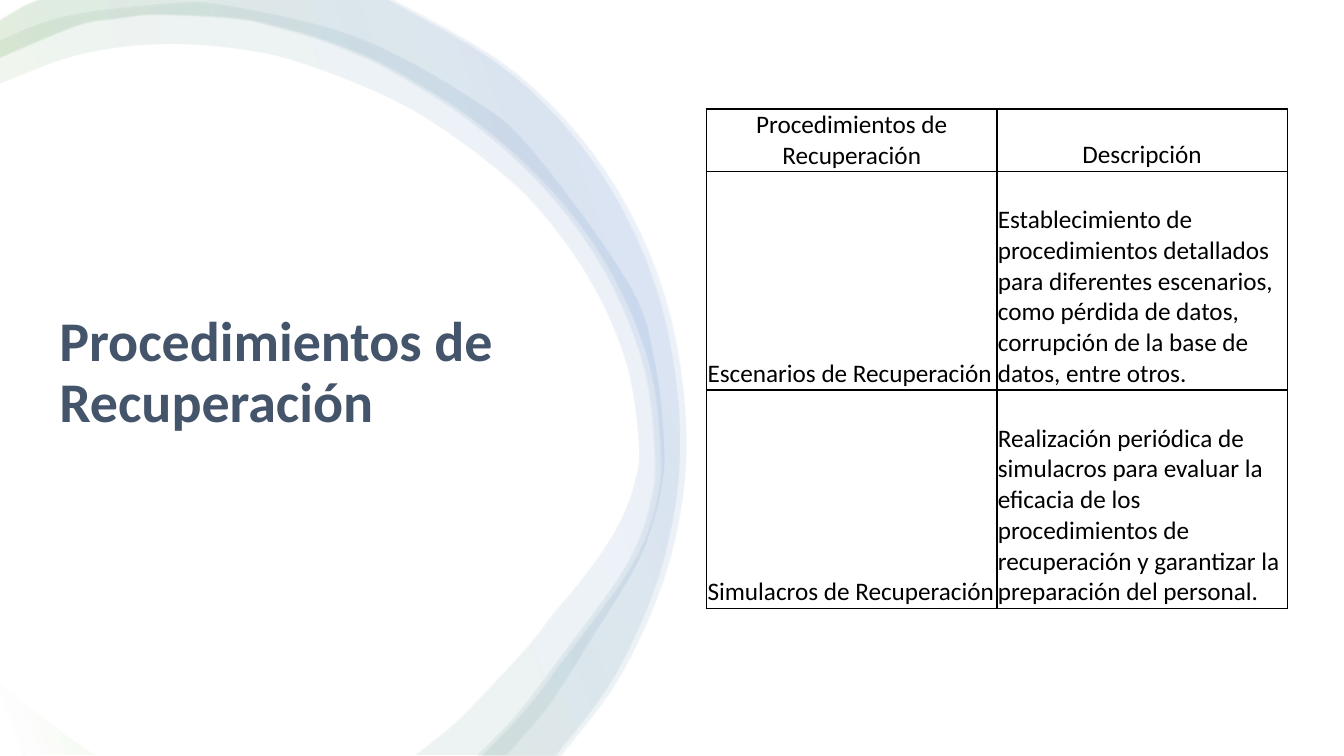
from lxml import etree
from pptx import Presentation
from pptx.dml.color import RGBColor
from pptx.enum import shapes, text
from pptx.oxml import ns
from pptx.util import Pt

FONT = "Calibri"
WIDTH, HEIGHT = 960, 540


def color(hex_string):
    return RGBColor.from_string(hex_string)


def smooth(knots, steps=6):
    padded = [knots[0], *knots, knots[-1]]
    points = [knots[0]]
    for a, b, c, d in zip(padded, padded[1:], padded[2:], padded[3:]):
        for step in range(1, steps + 1):
            t = step / steps
            points.append(tuple(
                (2 * q + (r - p) * t + (2 * p - 5 * q + 4 * r - s) * t ** 2
                 + (3 * q - p - 3 * r + s) * t ** 3) / 2
                for p, q, r, s in zip(a, b, c, d)))
    return points


presentation = Presentation()
presentation.slide_width, presentation.slide_height = Pt(WIDTH), Pt(HEIGHT)
slide = presentation.slides.add_slide(presentation.slide_layouts[6])

background = slide.shapes.add_shape(
    shapes.MSO_SHAPE.RECTANGLE, 0, 0, Pt(WIDTH), Pt(HEIGHT))
background.shadow.inherit = False
background.fill.solid()
background.fill.fore_color.rgb = color("FFFFFF")
background.line.fill.background()

wide_outer = smooth([
    (0, 29.5), (46.8, 12.2), (121.7, 2.9), (166.3, 5), (254.2, 26.6),
    (333.4, 68.4), (379.4, 106.6), (449.3, 203), (468, 259.9),
    (474.5, 319.7), (472.3, 349.9), (464.4, 380.2), (452.2, 408.2),
    (421.2, 458.6), (406.1, 483.1), (389.5, 507.6), (362.2, 539.3)])
wide_inner = smooth([
    (0, 60.5), (54, 40.3), (108, 32.4), (163.4, 34.6), (217.4, 46.1),
    (293.4, 78.2), (360.7, 126), (398.9, 167), (428.4, 213.1),
    (448.6, 264.2), (456.5, 319.7), (452.9, 346.3), (443.5, 371.5),
    (429.8, 394.6), (413.3, 416.9), (394.6, 439.2), (377.3, 461.5),
    (339.8, 501.8), (320.4, 520.6), (296.6, 539.3)])
wide_corner = [(0, 487.4), (0, 539.3), (68.4, 539.3), (42.5, 521.3), (8.6, 494.6)]

slim_outer = [(0, 15.8), (18, 5), (30.2, 0)] + smooth([
    (276.5, 0), (365, 53.3), (429.1, 124.6), (470.2, 212.4),
    (485.3, 311.8), (473.8, 399.6), (439.9, 481), (396.7, 540)])
slim_inner = smooth([
    (0, 42.5), (55.4, 19.4), (83.5, 14.4), (112.3, 11.5), (169.2, 14.4),
    (196.6, 20.2), (224.6, 28.1), (251.3, 38.2), (277.2, 50.4),
    (326.2, 80.6), (371.5, 118.1), (410.4, 162), (440.6, 212.4),
    (460.8, 268.6), (467.3, 328.3), (464.4, 357.8), (455.8, 385.9),
    (442.1, 411.8), (424.8, 436.3), (397.4, 473), (370.1, 509), (340.6, 540)])
slim_corner = [(0, 523.4), (0, 540), (20.2, 540), (10.8, 532.1)]

wide_ring = [wide_corner, wide_outer + wide_inner[::-1]]
slim_ring = [slim_corner, slim_outer + slim_inner[::-1]]
gradient_stops = [(2, "FFFFFF"), (16, "70AD47"), (85, "4472C4"), (100, "FFFFFF")]

for ring, stretch, shift in [(wide_ring, 1, 0), (slim_ring, 1, 0), (slim_ring, 1.01, -0.7)]:
    corner, band = [
        [(Pt(x * stretch), Pt(y + shift)) for x, y in contour] for contour in ring]
    builder = slide.shapes.build_freeform(*corner[0])
    builder.add_line_segments(corner[1:], close=True)
    builder.move_to(*band[0])
    builder.add_line_segments(band[1:], close=True)
    shape = builder.convert_to_shape()
    shape.shadow.inherit = False
    shape.line.fill.background()
    shape.fill.gradient()
    shape.fill.gradient_angle = 20
    stop_list = shape.element.spPr.find(".//" + ns.qn("a:gsLst"))
    for old_stop in list(stop_list):
        stop_list.remove(old_stop)
    for position, hex_string in gradient_stops:
        stop = etree.SubElement(stop_list, ns.qn("a:gs"), pos=str(position * 1000))
        stop_color = etree.SubElement(stop, ns.qn("a:srgbClr"), val=hex_string)
        etree.SubElement(stop_color, ns.qn("a:alpha"), val="10000")

title = slide.shapes.add_textbox(Pt(35.3), Pt(220.3), Pt(378.7), Pt(102.2))
title.text_frame.word_wrap = True
title.text_frame.text = "Procedimientos de Recuperación"
paragraph = title.text_frame.paragraphs[0]
paragraph.line_spacing = 0.9
font = paragraph.runs[0].font
font.name, font.size, font.bold = FONT, Pt(40), True
font.color.rgb = color("44546A")

rows = [
    ("Procedimientos de Recuperación", "Descripción"),
    ("Escenarios de Recuperación",
     "Establecimiento de procedimientos detallados para diferentes escenarios, "
     "como pérdida de datos, corrupción de la base de datos, entre otros."),
    ("Simulacros de Recuperación",
     "Realización periódica de simulacros para evaluar la eficacia de los "
     "procedimientos de recuperación y garantizar la preparación del personal."),
]
row_heights = [42.5, 156.2, 156.2]
table = slide.shapes.add_table(
    3, 2, Pt(504.7), Pt(77.8), Pt(414.8), Pt(sum(row_heights))).table
table.first_row = False
table.horz_banding = False
for column in table.columns:
    column.width = Pt(207.4)

for row_index, (row_texts, row_height) in enumerate(zip(rows, row_heights)):
    table.rows[row_index].height = Pt(row_height)
    for column_index, cell_text in enumerate(row_texts):
        cell = table.cell(row_index, column_index)
        cell.text_frame.text = cell_text
        cell.vertical_anchor = text.MSO_ANCHOR.BOTTOM
        cell.margin_left = cell.margin_right = Pt(0.7)
        cell.margin_top = cell.margin_bottom = Pt(0.7)
        paragraph = cell.text_frame.paragraphs[0]
        paragraph.alignment = text.PP_ALIGN.LEFT if row_index else text.PP_ALIGN.CENTER
        font = paragraph.runs[0].font
        font.name, font.size = FONT, Pt(18)
        font.color.rgb = color("000000")
        properties = cell._tc.get_or_add_tcPr()
        for side in ("lnL", "lnR", "lnT", "lnB"):
            border = etree.SubElement(properties, ns.qn("a:" + side), w=str(Pt(1)))
            border_fill = etree.SubElement(border, ns.qn("a:solidFill"))
            etree.SubElement(border_fill, ns.qn("a:srgbClr"), val="000000")
        cell.fill.background()

presentation.save("out.pptx")
